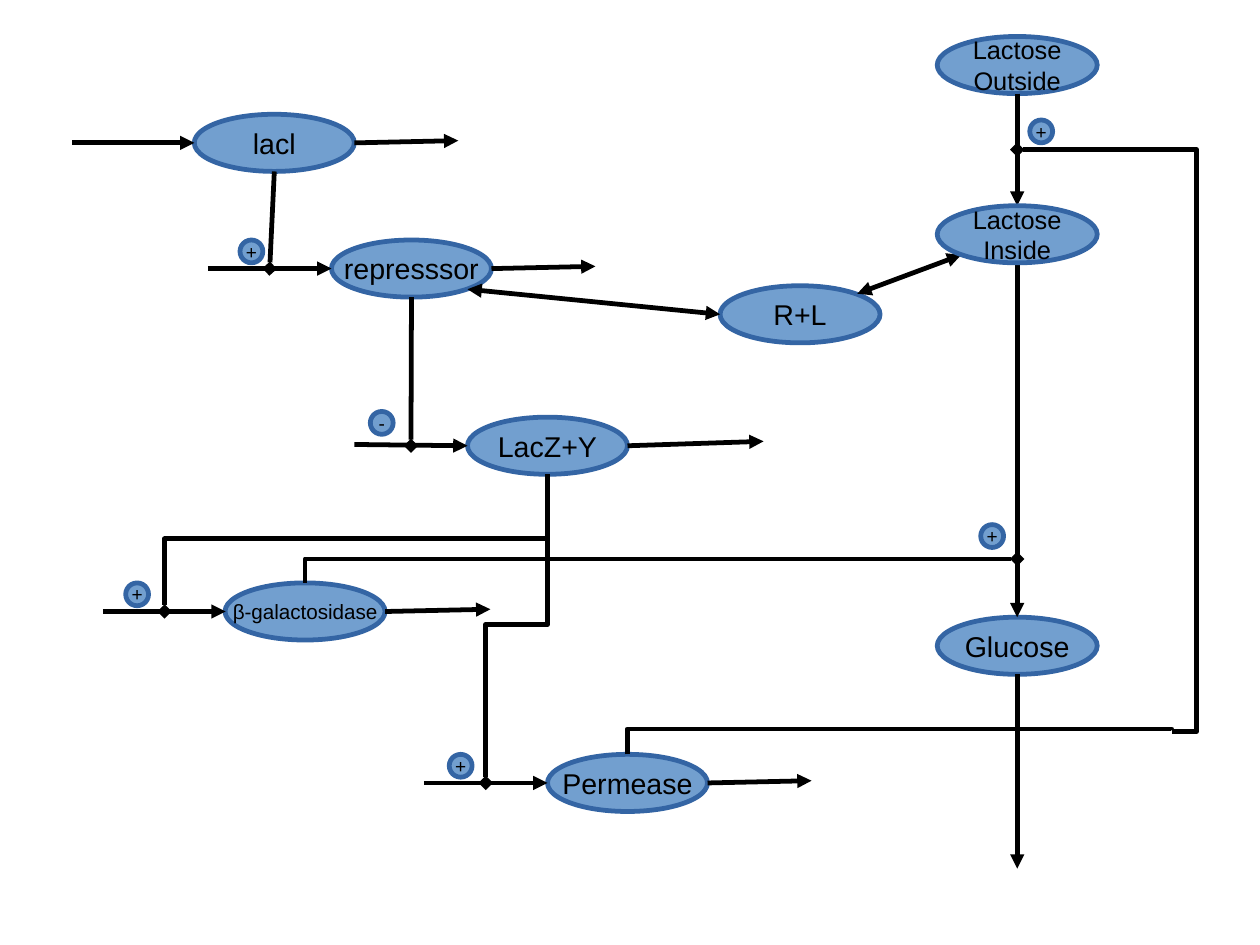
from pptx import Presentation
from pptx.dml.color import RGBColor
from pptx.enum.shapes import MSO_CONNECTOR as LINK, MSO_SHAPE as SHAPE
from pptx.enum.text import MSO_ANCHOR as ANCHOR, PP_ALIGN as ALIGN
from pptx.oxml.ns import qn
from pptx.oxml.xmlchemy import OxmlElement as Node
from pptx.util import Pt

BLUE = RGBColor(0x72, 0x9F, 0xCF)
EDGE = RGBColor(0x34, 0x65, 0xA4)
BLACK = RGBColor(0, 0, 0)

deck = Presentation()
deck.slide_width = Pt(793.7)
deck.slide_height = Pt(595.28)
slide = deck.slides.add_slide(deck.slide_layouts[6])
shapes = slide.shapes


def oval(text, size, left, top, width, height):
    shape = shapes.add_shape(SHAPE.OVAL, Pt(left), Pt(top), Pt(width), Pt(height))
    shape.shadow.inherit = False
    shape.fill.solid()
    shape.fill.fore_color.rgb = BLUE
    shape.line.color.rgb = EDGE
    shape.line.width = Pt(3)
    frame = shape.text_frame
    frame.word_wrap = False
    frame.vertical_anchor = ANCHOR.MIDDLE
    frame.margin_left = frame.margin_right = Pt(8.5)
    frame.margin_top = frame.margin_bottom = Pt(5)
    for i, word in enumerate(text.split("\n")):
        para = frame.add_paragraph() if i else frame.paragraphs[0]
        para.alignment = ALIGN.CENTER
        run = para.add_run()
        run.text = word
        run.font.name = "Arial"
        run.font.size = Pt(size)
        run.font.color.rgb = BLACK


def link(kind, start, end, head, tail):
    wire = shapes.add_connector(kind, *[Pt(n) for n in start + end])
    wire.line.color.rgb = BLACK
    wire.line.width = Pt(3)
    props = wire._element.spPr
    for tag, tip in (("a:headEnd", head), ("a:tailEnd", tail)):
        if tip:
            mark = Node(tag)
            mark.set("type", tip)
            props.find(qn("a:ln")).append(mark)
    props.append(Node("a:effectLst"))
    return wire


nodes = [
    ("lacl", 18, 122.4, 72),
    ("represssor", 18, 208.8, 151.2),
    ("LacZ+Y", 18, 294.5, 262.8),
    ("Lactose\nOutside", 16, 590.4, 23),
    ("Glucose", 18, 590.4, 388.8),
    ("R+L", 18, 453.6, 180),
    ("β-galactosidase", 13, 141.8, 367.2),
    ("Permease", 18, 344.9, 475.2),
]
for text, size, left, top in nodes:
    oval(text, size, left, top, 100.8, 36)

arrows = [
    ((223.2, 90), (288.7, 88.6)),
    ((45.4, 90), (122.4, 90)),
    ((309.6, 169.2), (375.1, 167.8)),
    ((131, 169.2), (208.8, 169.2)),
    ((395.3, 280.8), (481, 278)),
    ((223.2, 280), (294.5, 280.8)),
    ((640.8, 59), (640.8, 129.6)),
    ((242.6, 385.2), (308.9, 383.8)),
    ((64.8, 385.2), (142.2, 385.2)),
    ((445.7, 493.2), (511.2, 491.8)),
    ((267.1, 493.2), (344.9, 493.2)),
    ((640.8, 165.6), (640.8, 388.8)),
    ((640.8, 424.8), (640.8, 547.2)),
]
for start, end in arrows:
    link(LINK.STRAIGHT, start, end, None, "triangle")

for start, end in [((605.5, 160.6), (540, 185)), ((294.5, 182.2), (453.6, 198))]:
    link(LINK.STRAIGHT, start, end, "triangle", "triangle")

for start, end in [((172.8, 108), (169.9, 169.2)), ((259.2, 187.2), (258.9, 280.8))]:
    link(LINK.STRAIGHT, start, end, None, "diamond")

bends = [
    ((344.9, 298.8), (103.7, 385.2), 90, 47100, None, "diamond"),
    ((306, 493.2), (344.9, 298.8), 90, 51300, "diamond", None),
    ((738, 460.8), (640.8, 94.3), 0, -16100, None, "diamond"),
    ((395.3, 475.2), (738, 460.1), 90, 106100, None, None),
    ((192.2, 367.2), (640.8, 352.1), 90, None, None, "diamond"),
]
for start, end, turn, bend, head, tail in bends:
    wire = link(LINK.ELBOW, start, end, head, tail)
    wide, high = abs(end[0] - start[0]), abs(end[1] - start[1])
    if turn:
        wide, high = high, wide
    wire.left = Pt((start[0] + end[0] - wide) / 2)
    wire.top = Pt((start[1] + end[1] - high) / 2)
    wire.width, wire.height = Pt(wide), Pt(high)
    frame = wire._element.spPr.find(qn("a:xfrm"))
    flip = "1" if end[1] < start[1] else "0"
    frame.set("rot", str(turn * 60000))
    frame.set("flipH", flip)
    frame.set("flipV", flip)
    form = wire._element.spPr.find(qn("a:prstGeom"))
    if bend is None:
        form.set("prst", "bentConnector2")
    else:
        guide = Node("a:gd")
        guide.set("name", "adj1")
        guide.set("fmla", f"val {bend}")
        form.find(qn("a:avLst")).append(guide)

oval("Lactose\nInside", 16, 590.4, 129.6, 100.8, 36)

signs = [
    ("+", 151.2, 151.2),
    ("+", 79.2, 367.2),
    ("+", 283, 475.2),
    ("+", 617.8, 330.5),
    ("+", 648.7, 75.6),
    ("-", 233.3, 259.2),
]
for sign, left, top in signs:
    oval(sign, 12, left, top, 14.4, 14.4)

deck.save("out.pptx")
